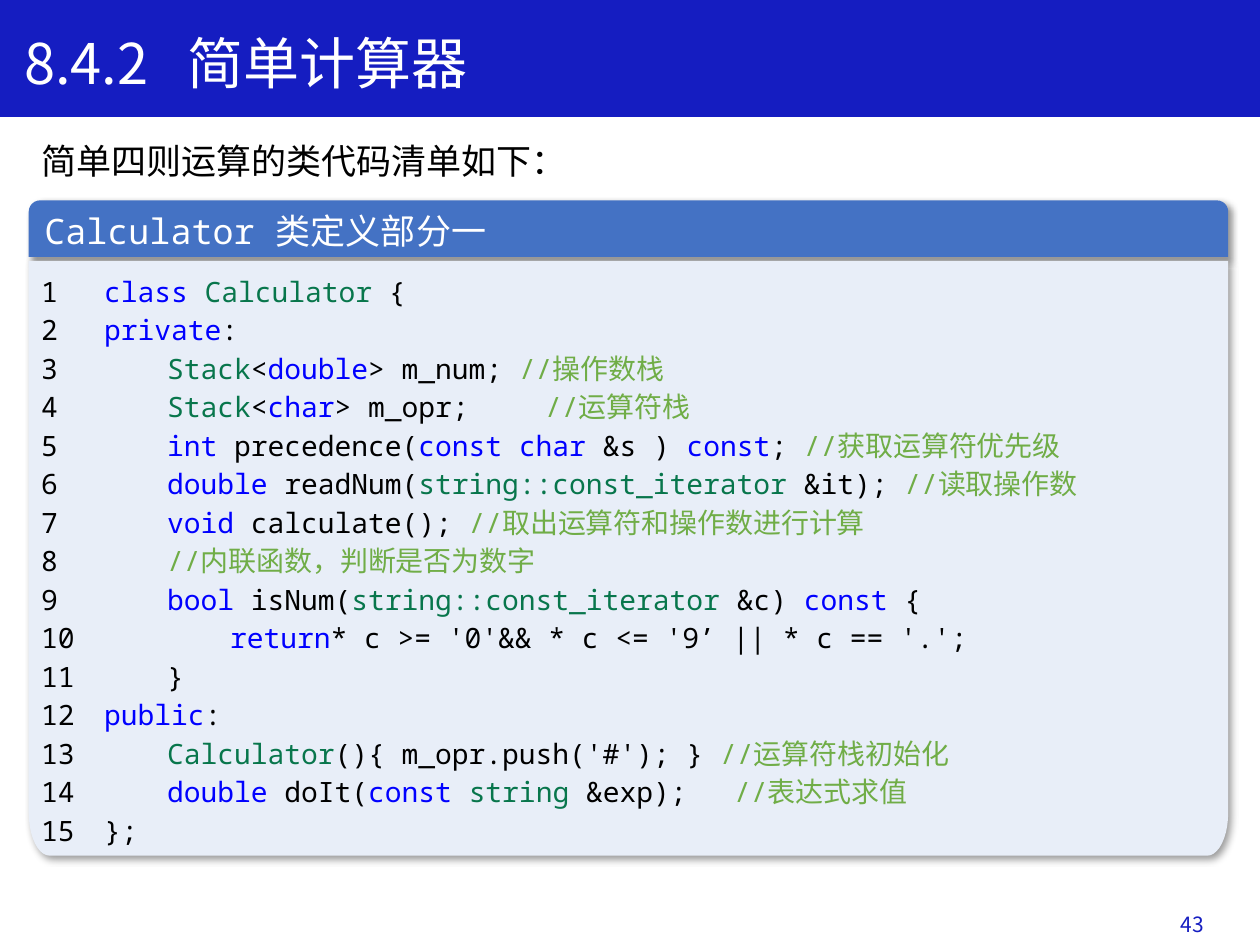
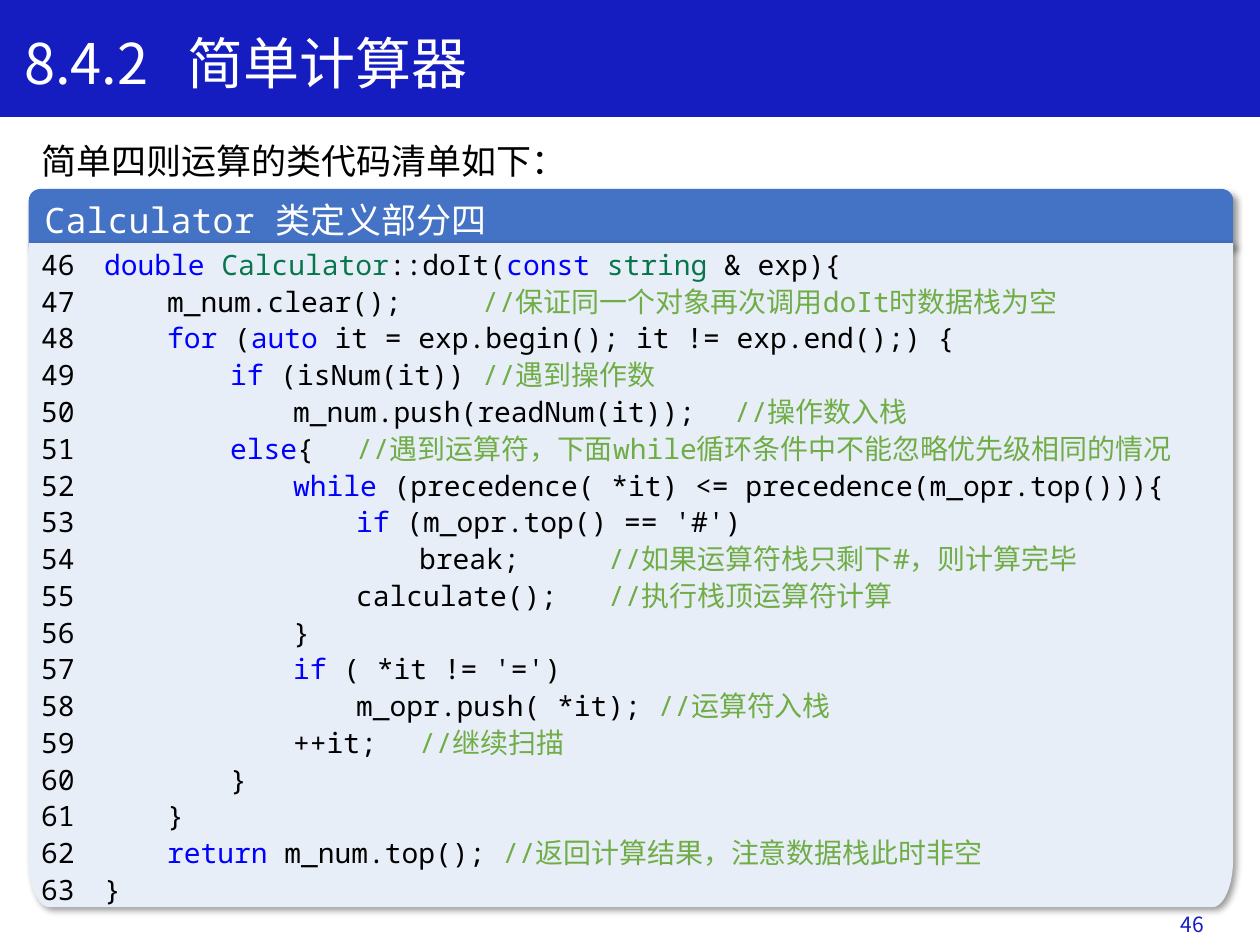
from itertools import groupby
from math import cos, pi, sin

from lxml.etree import SubElement
from pptx import Presentation
from pptx.dml.color import RGBColor
from pptx.enum.shapes import MSO_SHAPE
from pptx.enum.text import MSO_ANCHOR, MSO_AUTO_SIZE, PP_ALIGN
from pptx.oxml.ns import qn
from pptx.util import Cm, Pt

TITLE = "8.4.2\t简单计算器"
INTRO = "简单四则运算的类代码清单如下："

# Each code line: depth, code, comment
LISTINGS = [
    {
        "page": "43", "heading": "Calculator 类定义部分一",
        "head_top": 4.04, "head_height": 1.14, "width": 24.18,
        "body_top": 5.26, "body_height": 11.99,
        "first_line": 1, "line_pitch": 22,
        "code": [
            (0, "class Calculator {", ""),
            (0, "private:", ""),
            (1, "Stack<double> m_num; ", "//操作数栈"),
            (1, "Stack<char> m_opr; \t", "//运算符栈"),
            (1, "int precedence(const char &s ) const; ", "//获取运算符优先级"),
            (1, "double readNum(string::const_iterator &it); ", "//读取操作数"),
            (1, "void calculate(); ", "//取出运算符和操作数进行计算"),
            (1, "", "//内联函数，判断是否为数字"),
            (1, "bool isNum(string::const_iterator &c) const {", ""),
            (2, "return* c >= '0'&& * c <= '9’ || * c == '.';", ""),
            (1, "}", ""),
            (0, "public:", ""),
            (1, "Calculator(){ m_opr.push('#'); } ", "//运算符栈初始化"),
            (1, "double doIt(const string &exp); \t", "//表达式求值"),
            (0, "};", ""),
        ],
    },
    {
        "page": "46", "heading": "Calculator 类定义部分四",
        "head_top": 3.81, "head_height": 1.17, "width": 24.28,
        "body_top": 4.9, "body_height": 13.39,
        "first_line": 46, "line_pitch": 21,
        "code": [
            (0, "double Calculator::doIt(const string & exp){", ""),
            (1, "m_num.clear(); \t\t", "//保证同一个对象再次调用doIt时数据栈为空"),
            (1, "for (auto it = exp.begin(); it != exp.end();) {", ""),
            (2, "if (isNum(it)) \t", "//遇到操作数"),
            (3, "m_num.push(readNum(it));\t", "//操作数入栈"),
            (2, "else{ \t", "//遇到运算符，下面while循环条件中不能忽略优先级相同的情况"),
            (3, "while (precedence( *it) <= precedence(m_opr.top())){", ""),
            (4, "if (m_opr.top() == '#')", ""),
            (5, "break; \t\t", "//如果运算符栈只剩下#，则计算完毕"),
            (4, "calculate(); \t", "//执行栈顶运算符计算"),
            (3, "}", ""),
            (3, "if ( *it != '=')", ""),
            (4, "m_opr.push( *it); ", "//运算符入栈"),
            (3, "++it; \t", "//继续扫描"),
            (2, "}", ""),
            (1, "}", ""),
            (1, "return m_num.top(); ", "//返回计算结果，注意数据栈此时非空"),
            (0, "}", ""),
        ],
    },
]

KEYWORDS = set("class private public double char int const void bool return "
               "for auto if else while".split())
TYPES = {"Calculator", "Stack", "string", "const_iterator"}

SANS, MONO = "Noto Sans CJK SC", "Noto Sans Mono"
NAVY, WHITE, BLACK = "151DC1", "FFFFFF", "000000"
HEAD_FILL, BODY_FILL = "4472C4", "E8EEF8"
KEYWORD, TYPE, COMMENT = "0000FF", "08764C", "70AD47"
LEFT = 0.58
CODE_TABS = [1.27 * step for step in range(1, 15)]


def rgb(color):
    return RGBColor.from_string(color)


def write(shape, lines, size, color=BLACK, font=SANS, align=PP_ALIGN.LEFT,
          pitch=None, tabs=()):
    """Fill a shape; lines is a string or a list of [(text, colour), ...] lines."""
    if isinstance(lines, str):
        lines = [[(lines, color)]]
    frame = shape.text_frame
    frame.word_wrap = True
    frame.auto_size = MSO_AUTO_SIZE.NONE
    frame.vertical_anchor = MSO_ANCHOR.MIDDLE
    for index, pieces in enumerate(lines):
        paragraph = frame.add_paragraph() if index else frame.paragraphs[0]
        paragraph.alignment = align
        if pitch:
            paragraph.line_spacing = Pt(pitch)
        if tabs:
            stops = SubElement(paragraph._p.get_or_add_pPr(), qn("a:tabLst"))
            for stop in tabs:
                SubElement(stops, qn("a:tab"), pos=str(Cm(stop)), algn="l")
        for text, run_color in pieces:
            run = paragraph.add_run()
            run.text = text
            run.font.size = Pt(size)
            run.font.name = font
            run.font.color.rgb = rgb(run_color)
            SubElement(run._r.get_or_add_rPr(), qn("a:ea"), typeface=SANS)


def paint(shape, color, shadow=False):
    shape.fill.solid()
    shape.fill.fore_color.rgb = rgb(color)
    shape.line.fill.background()
    shape.shadow.inherit = False
    if shadow:
        effects = shape._element.spPr.find(qn("a:effectLst"))
        outer = SubElement(effects, qn("a:outerShdw"), blurRad=str(Pt(4)),
                           dist=str(Pt(3)), dir=str(45 * 60000),
                           algn="tl", rotWithShape="0")
        black = SubElement(outer, qn("a:srgbClr"), val=BLACK)
        SubElement(black, qn("a:alpha"), val="40000")


def highlight(code):
    """Split code into (text, colour) pieces by keyword and type name."""
    pieces, previous = [], ""
    for _, chars in groupby(code, lambda char: char.isalnum() or char == "_"):
        token = "".join(chars)
        if token in KEYWORDS:
            color = KEYWORD
        elif token in TYPES or (previous, token) == ("string", "::"):
            color = TYPE
        else:
            color = BLACK
        pieces.append((token, color))
        previous = token
    return pieces


def code_lines(listing):
    for number, (depth, code, comment) in enumerate(listing["code"], listing["first_line"]):
        pieces = [(f"{number} \t" + "\t" * depth, BLACK)] + highlight(code)
        if comment:
            pieces.append((comment, COMMENT))
        yield pieces


def bottom_rounded(slide, left, top, width, height):
    """Outline with square top corners and elliptic bottom corners."""
    across, down = 0.42, 0.072 * height
    angles = [pi / 2 * step / 10 for step in range(11)]
    right_corner = [(left + width - across + across * cos(a),
                     top + height - down + down * sin(a)) for a in angles]
    left_corner = [(2 * left + width - x, y) for x, y in reversed(right_corner)]
    outline = [(left + width, top)] + right_corner + left_corner
    builder = slide.shapes.build_freeform(Cm(left), Cm(top))
    builder.add_line_segments([(Cm(x), Cm(y)) for x, y in outline], close=True)
    return builder.convert_to_shape()


def text_box(slide, left, top, width, height, text, **style):
    box = slide.shapes.add_textbox(Cm(left), Cm(top), Cm(width), Cm(height))
    write(box, text, **style)


def add_band(slide, layout, width):
    """Draw the title band and move it to the layout that all slides share."""
    band = slide.shapes.add_shape(MSO_SHAPE.RECTANGLE, 0, 0, width, Cm(2.34))
    paint(band, NAVY)
    band.line.color.rgb = rgb(NAVY)
    band.line.width = Pt(1)
    layout.shapes._spTree.insert(2, band._element)


def add_listing(slide, listing):
    title = slide.shapes.title
    title.left, title.top, title.width, title.height = Cm(0.23), Cm(0.43), Cm(23.65), Cm(1.63)
    write(title, TITLE, size=32, color=WHITE, tabs=[3.3])
    text_box(slide, LEFT, 2.67, 23.93, 1.12, INTRO, size=20)

    head = slide.shapes.add_shape(
        MSO_SHAPE.ROUND_2_SAME_RECTANGLE, Cm(LEFT), Cm(listing["head_top"]),
        Cm(listing["width"]), Cm(listing["head_height"]))
    head.adjustments[0], head.adjustments[1] = 0.2, 0
    paint(head, HEAD_FILL, shadow=True)
    write(head, listing["heading"], size=20, color=WHITE, font=MONO)

    body = bottom_rounded(slide, LEFT, listing["body_top"], listing["width"],
                          listing["body_height"])
    paint(body, BODY_FILL, shadow=True)
    write(body, list(code_lines(listing)), size=16, font=MONO,
          pitch=listing["line_pitch"], tabs=CODE_TABS)

    text_box(slide, 18.8, 18.12, 5.72, 1.02, listing["page"], size=12,
             color=NAVY, align=PP_ALIGN.RIGHT)


def main():
    deck = Presentation()
    deck.slide_width, deck.slide_height = Cm(25.4), Cm(19.05)
    layout = deck.slide_layouts[5]
    for listing in LISTINGS:
        slide = deck.slides.add_slide(layout)
        if listing is LISTINGS[0]:
            add_band(slide, layout, deck.slide_width)
        add_listing(slide, listing)
    deck.save("out.pptx")


if __name__ == "__main__":
    main()
